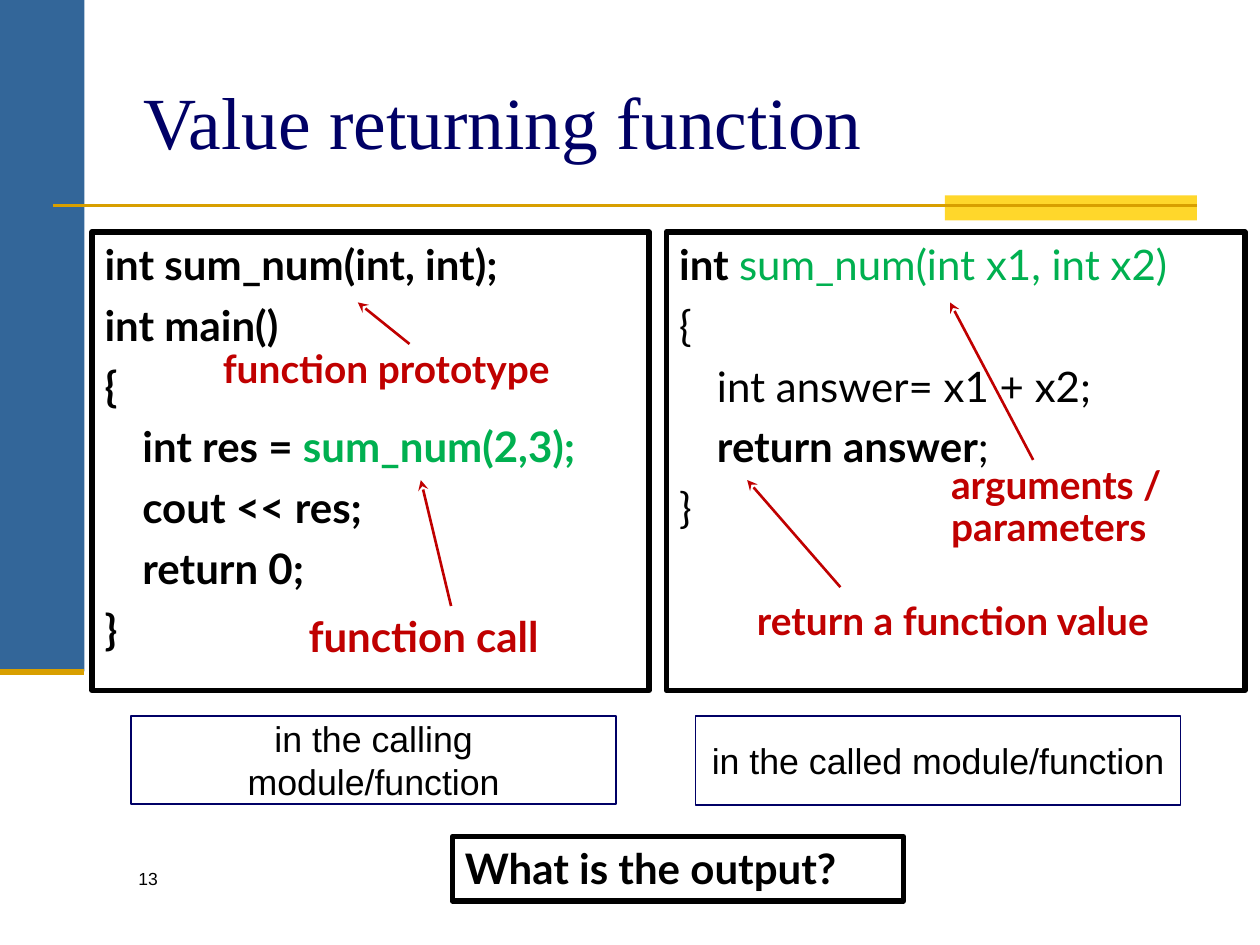
from lxml.etree import SubElement
from pptx import Presentation
from pptx.dml.color import RGBColor
from pptx.enum.shapes import MSO_CONNECTOR, MSO_SHAPE
from pptx.enum.text import MSO_ANCHOR, MSO_AUTO_SIZE, PP_ALIGN
from pptx.oxml.ns import qn
from pptx.util import Inches, Pt

COLORS = {
    "sidebar": "336699",
    "accent": "FFD72B",
    "rule": "D89F00",
    "navy": "000066",
    "ink": "000000",
    "paper": "FFFFFF",
    "call": "00B050",
    "note": "C00000",
}

CALLING_CODE = [
    [("int sum_num(int, int);", "ink", True)],
    [("int main()", "ink", True)],
    [("{", "ink", True)],
    [("\tint res = ", "ink", True), ("sum_num(2,3);", "call", True)],
    [("\tcout << res;", "ink", True)],
    [("\treturn 0;", "ink", True)],
    [("}", "ink", True)],
]
CALLED_CODE = [
    [("int ", "ink", True), ("sum_num(int x1, int x2)", "call", False)],
    [("{", "ink", False)],
    [("\tint answer= x1 + x2;", "ink", False)],
    [("\t", "ink", False), ("return answer", "ink", True), (";", "ink", False)],
    [("}", "ink", False)],
]
NOTES = [
    ("function call", (2.35, 4.8, 2.48, 0.5), 24, 1, (3.58, 4.81), (3.34, 3.81)),
    ("arguments /\nparameters", (7.45, 3.65, 2.13, 0.91), 22.2, 0.9, (8.2, 3.65), (7.54, 2.4)),
    ("return a function value", (5.91, 4.73, 3.9, 0.5), 22.2, 0.9, (6.67, 4.66), (5.93, 3.81)),
    ("function prototype", (1.67, 2.73, 3.16, 0.51), 22.2, 0.9, (3.25, 2.73), (2.84, 2.4)),
]


def rgb(name):
    """Return the named palette colour."""
    return RGBColor.from_string(COLORS[name])


def place(shape, box):
    """Move a shape to a box given in inches."""
    shape.left, shape.top, shape.width, shape.height = map(Inches, box)


def outline(shape, color, width, fill=None):
    """Give a shape a border and an optional fill."""
    shape.line.color.rgb = rgb(color)
    shape.line.width = Pt(width)
    if fill:
        shape.fill.solid()
        shape.fill.fore_color.rgb = rgb(fill)


def style_font(paragraph, face, size, color, bold=False):
    """Set the font shared by all runs of a paragraph."""
    font = paragraph.font
    font.name, font.size, font.bold = face, Pt(size), bold
    font.color.rgb = rgb(color)


def prepare_frame(shape, anchor=MSO_ANCHOR.TOP):
    """Return a wrapping text frame of fixed size."""
    frame = shape.text_frame
    frame.word_wrap = True
    frame.auto_size = MSO_AUTO_SIZE.NONE
    frame.vertical_anchor = anchor
    return frame


def write_text(shape, text, face, size, color, bold=False, align=PP_ALIGN.LEFT,
               anchor=MSO_ANCHOR.TOP, spacing=1):
    """Fill a shape with evenly styled paragraphs."""
    frame = prepare_frame(shape, anchor)
    frame.text = text
    for paragraph in frame.paragraphs:
        paragraph.alignment = align
        paragraph.line_spacing = spacing
        paragraph.space_before = Pt(0)
        style_font(paragraph, face, size, color, bold)


def add_line(slide, start, end, color, width, arrow=False):
    """Draw a line, with a stealth arrowhead at its end if asked."""
    line = slide.shapes.add_connector(
        MSO_CONNECTOR.STRAIGHT, *map(Inches, (*start, *end)))
    line.line.color.rgb = rgb(color)
    line.line.width = Pt(width)
    if arrow:
        SubElement(line.line._get_or_add_ln(), qn("a:tailEnd"), type="stealth")
    SubElement(line._element.spPr, qn("a:effectLst"))


def add_block(slide, box, fill):
    """Draw a borderless rectangle."""
    block = slide.shapes.add_shape(MSO_SHAPE.RECTANGLE, *map(Inches, box))
    block.shadow.inherit = False
    block.fill.solid()
    block.fill.fore_color.rgb = rgb(fill)
    block.line.fill.background()
    return block


def add_decoration(slide):
    """Draw the sidebar and the rule below the title."""
    add_block(slide, (0, 0, 0.67, 5.33), "sidebar")
    add_block(slide, (7.5, 1.55, 2, 0.2), "accent")
    add_line(slide, (0.42, 1.63), (9.5, 1.63), "rule", 1.5)
    add_line(slide, (0, 5.33), (0.67, 5.33), "rule", 3.5)


def fill_code_panel(panel, box, code):
    """Place a bordered panel and write its code lines."""
    place(panel, box)
    outline(panel, "ink", 3.15, "paper")
    frame = prepare_frame(panel)
    for number, line in enumerate(code):
        paragraph = frame.add_paragraph() if number else frame.paragraphs[0]
        paragraph.line_spacing = 1
        paragraph.space_before = Pt(6 if number else 0)
        properties = paragraph._p.get_or_add_pPr()
        properties.set("marL", str(Inches(0.3)))
        properties.set("indent", str(Inches(-0.3)))
        SubElement(properties, qn("a:buNone"))
        paragraph.font.name, paragraph.font.size = "Lato", Pt(24)
        for text, color, bold in line:
            run = paragraph.add_run()
            run.text = text
            run.font.bold = bold
            run.font.color.rgb = rgb(color)


def fill_caption(caption, box, text):
    """Place a thinly framed caption below a code panel."""
    place(caption, box)
    outline(caption, "navy", 1)
    write_text(caption, text, "Arial", 20.4, "ink",
               align=PP_ALIGN.CENTER, anchor=MSO_ANCHOR.MIDDLE)


def add_note(slide, text, box, size, spacing, start, end):
    """Write a red note and point its arrow at the code."""
    note = slide.shapes.add_textbox(*map(Inches, box))
    write_text(note, text, "Lato", size, "note", bold=True, spacing=spacing)
    add_line(slide, start, end, "note", 1.5, arrow=True)


def add_question(slide, box):
    """Write the closing question in a bold frame."""
    question = add_block(slide, box, "paper")
    outline(question, "ink", 3.15)
    write_text(question, "What is the output?", "Lato", 24, "ink", bold=True)


def add_page_number(slide, box):
    """Write the page number."""
    number = slide.shapes.add_textbox(*map(Inches, box))
    write_text(number, "13", "Arial", 10, "ink")


def main():
    """Build and save the slide."""
    deck = Presentation()
    deck.slide_width, deck.slide_height = Inches(10), Inches(7.5)
    slide = deck.slides.add_slide(deck.slide_layouts.get_by_name("Comparison"))
    title, calling_caption, calling_panel, called_caption, called_panel = slide.placeholders

    add_decoration(slide)
    place(title, (1.04, 0.33, 8.5, 1.25))
    write_text(title, "Value returning function", "Times New Roman", 42, "navy",
               anchor=MSO_ANCHOR.MIDDLE)
    fill_caption(calling_caption, (1.04, 5.68, 3.85, 0.7), "in the calling module/function")
    fill_code_panel(calling_panel, (0.73, 1.84, 4.42, 3.64), CALLING_CODE)
    fill_caption(called_caption, (5.52, 5.68, 3.85, 0.71), "in the called module/function")
    fill_code_panel(called_panel, (5.29, 1.84, 4.59, 3.64), CALLED_CODE)
    for note in NOTES:
        add_note(slide, *note)
    add_question(slide, (3.59, 6.64, 3.58, 0.51))
    add_page_number(slide, (1, 6.84, 2.17, 0.5))
    deck.save("out.pptx")


if __name__ == "__main__":
    main()
